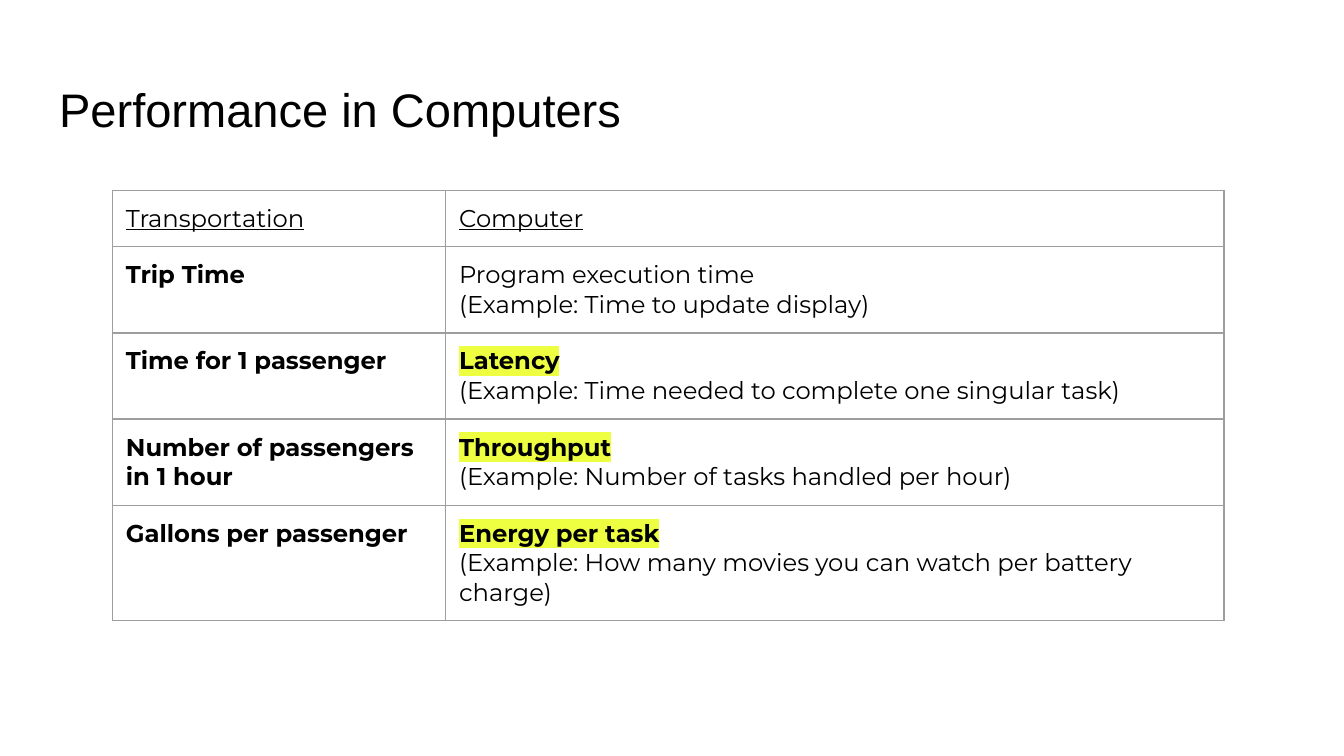
from dataclasses import dataclass

from lxml.etree import SubElement
from pptx import Presentation
from pptx.dml.color import RGBColor
from pptx.enum.text import MSO_ANCHOR, PP_ALIGN
from pptx.oxml.ns import qn
from pptx.util import Pt


@dataclass(frozen=True)
class Theme:
    ink: str = "000000"
    highlight: str = "EEFF41"
    border: str = "9E9E9E"
    border_width: float = 0.75
    title_font: str = "Arial"
    title_size: float = 25.2
    body_font: str = "Montserrat"
    body_size: float = 13
    inset: float = 7.2


THEME = Theme()

# Each cell is a list of paragraphs, each paragraph a list of (text, style) spans
ROWS = [
    ([[("Transportation", "underline")]],
     [[("Computer", "underline")]]),
    ([[("Trip Time", "bold")]],
     [[("Program execution time\n(Example: Time to update display)", "plain")]]),
    ([[("Time for 1 passenger", "bold")]],
     [[("Latency", "term")],
      [("(Example: Time needed to complete one singular task)", "plain")]]),
    ([[("Number of passengers in 1 hour", "bold")]],
     [[("Throughput\n", "term"),
       ("(Example: Number of tasks handled per hour)", "plain")]]),
    ([[("Gallons per passenger", "bold")]],
     [[("Energy per task\n", "term"),
       ("(Example: How many movies you can watch per battery charge)", "plain")]]),
]


def add_span(para, text, font_name, size, style="plain"):
    """Add text in one style, turning newlines into line breaks."""
    for index, line in enumerate(text.split("\n")):
        if index:
            para.add_line_break()
        if not line:
            continue
        span = para.add_run()
        span.text = line
        font = span.font
        font.size = Pt(size)
        font.bold = style in ("bold", "term")
        font.underline = style == "underline"
        font.color.rgb = RGBColor.from_string(THEME.ink)
        # The highlight belongs between the fill and the typeface
        if style == "term":
            mark = SubElement(span._r.get_or_add_rPr(), qn("a:highlight"))
            SubElement(mark, qn("a:srgbClr"), val=THEME.highlight)
        font.name = font_name


def set_insets(target):
    target.margin_left = target.margin_right = Pt(THEME.inset)
    target.margin_top = target.margin_bottom = Pt(THEME.inset)


def format_cell(cell):
    """Draw thin borders on every side and leave the cell unfilled."""
    properties = cell._tc.get_or_add_tcPr()
    for side in ("a:lnL", "a:lnR", "a:lnT", "a:lnB"):
        line = SubElement(properties, qn(side), w=str(Pt(THEME.border_width)))
        fill = SubElement(line, qn("a:solidFill"))
        SubElement(fill, qn("a:srgbClr"), val=THEME.border)
    cell.fill.background()
    set_insets(cell)
    cell.vertical_anchor = MSO_ANCHOR.TOP


def place_title(page, text, left, top, width, height):
    title = page.shapes.title
    title.left, title.top = Pt(left), Pt(top)
    title.width, title.height = Pt(width), Pt(height)
    frame = title.text_frame
    frame.word_wrap = True
    frame.vertical_anchor = MSO_ANCHOR.BOTTOM
    set_insets(frame)
    para = frame.paragraphs[0]
    para.alignment = PP_ALIGN.LEFT
    add_span(para, text, THEME.title_font, THEME.title_size)


def place_comparison(page, rows, left, top, column_widths, row_heights):
    table = page.shapes.add_table(
        len(rows), len(column_widths), Pt(left), Pt(top),
        Pt(sum(column_widths)), Pt(sum(row_heights))).table
    table.first_row = table.horz_banding = False
    for column, width in zip(table.columns, column_widths):
        column.width = Pt(width)
    for row, height, contents in zip(table.rows, row_heights, rows):
        row.height = Pt(height)
        for cell, paragraphs in zip(row.cells, contents):
            format_cell(cell)
            frame = cell.text_frame
            for index, spans in enumerate(paragraphs):
                para = frame.add_paragraph() if index else frame.paragraphs[0]
                for text, style in spans:
                    add_span(para, text, THEME.body_font, THEME.body_size, style)


def main():
    deck = Presentation()
    deck.slide_width, deck.slide_height = Pt(720), Pt(405)
    page = deck.slides.add_slide(deck.slide_layouts[5])

    # Heading
    place_title(page, "Performance in Computers", 24.5, 35.3, 671, 45.4)

    # Transportation and computer terms side by side
    place_comparison(page, ROWS, 60.3, 102, (178.5, 417), (30, 46, 46, 46, 62))

    deck.save("out.pptx")


if __name__ == "__main__":
    main()
